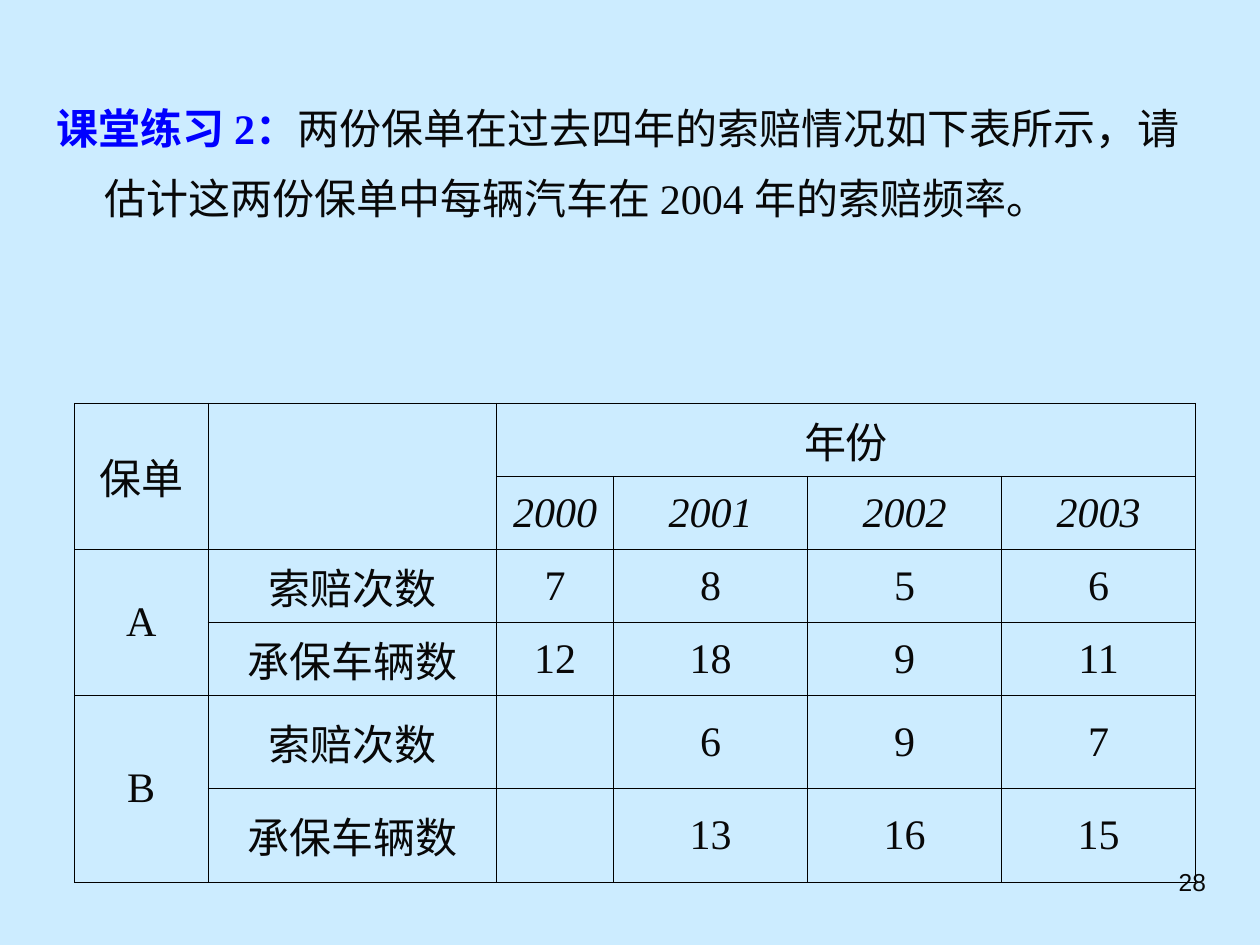
import dataclasses

import pptx
import pptx.dml.color
import pptx.enum.text
import pptx.oxml
import pptx.oxml.ns
import pptx.util

Inches = pptx.util.Inches
Pt = pptx.util.Pt
RGBColor = pptx.dml.color.RGBColor
Align = pptx.enum.text.PP_ALIGN
Anchor = pptx.enum.text.MSO_ANCHOR


@dataclasses.dataclass(frozen=True)
class Theme:
    background: str = "CCECFF"
    text: str = "080808"
    accent: str = "0000FF"
    border: str = "000000"
    border_width: float = 0.45
    serif: str = "Times New Roman"
    sans: str = "Arial"
    main_size: int = 24
    number_size: int = 14


THEME = Theme()

ROWS = [
    ["保单", "", "年份", "", "", ""],
    ["", "", "2000", "2001", "2002", "2003"],
    ["A", "索赔次数", "7", "8", "5", "6"],
    ["", "承保车辆数", "12", "18", "9", "11"],
    ["B", "索赔次数", "", "6", "9", "7"],
    ["", "承保车辆数", "", "13", "16", "15"],
]
YEAR_ROW = 1
COLUMN_WIDTHS = [1.06, 2.29, 0.93, 1.54, 1.54, 1.54]
ROW_HEIGHTS = [0.58] * 4 + [0.74] * 2
MERGES = [
    ((0, 0), (1, 0)),
    ((0, 1), (1, 1)),
    ((0, 2), (0, 5)),
    ((2, 0), (3, 0)),
    ((4, 0), (5, 0)),
]


def style_font(font, name, size, color=THEME.text):
    font.name = name
    font.size = Pt(size)
    font.color.rgb = RGBColor.from_string(color)


def add_exercise(page, lead, question):
    box = page.placeholders[1]
    box.left, box.top = Inches(0.35), Inches(0.6)
    box.width, box.height = Inches(9.13), Inches(1.26)
    frame = box.text_frame
    frame.auto_size = pptx.enum.text.MSO_AUTO_SIZE.NONE
    frame.vertical_anchor = Anchor.TOP
    para = frame.paragraphs[0]
    para.line_spacing = 1.4
    para.space_before = Pt(0)
    properties = para._p.get_or_add_pPr()
    properties.set("marL", str(Inches(0.38)))
    properties.set("indent", str(Inches(-0.38)))
    properties.append(pptx.oxml.parse_xml(
        f"<a:buNone {pptx.oxml.ns.nsdecls('a')}/>"))
    for text, color, bold in ((lead, THEME.accent, True),
                              (question, THEME.text, False)):
        span = para.add_run()
        span.text = text
        span.font.bold = bold
        style_font(span.font, THEME.serif, THEME.main_size, color)


def add_page_number(page, number):
    box = page.shapes.add_textbox(
        Inches(7.17), Inches(6.83), Inches(2.5), Inches(0.52))
    box.text_frame.word_wrap = True
    para = box.text_frame.paragraphs[0]
    para.text = number
    para.alignment = Align.RIGHT
    style_font(para.font, THEME.sans, THEME.number_size)


def add_borders(cell):
    properties = cell._tc.get_or_add_tcPr()
    for side in ("lnL", "lnR", "lnT", "lnB"):
        properties.append(pptx.oxml.parse_xml(
            f'<a:{side} {pptx.oxml.ns.nsdecls("a")} '
            f'w="{Pt(THEME.border_width)}"><a:solidFill>'
            f'<a:srgbClr val="{THEME.border}"/></a:solidFill></a:{side}>'))


def fill_cell(cell, text, italic):
    add_borders(cell)
    cell.fill.background()
    cell.vertical_anchor = Anchor.MIDDLE
    para = cell.text_frame.paragraphs[0]
    para.text = text
    para.alignment = Align.CENTER
    para.font.italic = italic
    style_font(para.font, THEME.serif, THEME.main_size)


def add_claims_table(page):
    table = page.shapes.add_table(
        len(ROWS), len(COLUMN_WIDTHS), Inches(0.59), Inches(3.2),
        Inches(sum(COLUMN_WIDTHS)), Inches(sum(ROW_HEIGHTS))).table
    table.first_row = False
    table.horz_banding = False
    for column, width in zip(table.columns, COLUMN_WIDTHS):
        column.width = Inches(width)
    for row, height in zip(table.rows, ROW_HEIGHTS):
        row.height = Inches(height)
    for row_index, texts in enumerate(ROWS):
        for column_index, text in enumerate(texts):
            fill_cell(table.cell(row_index, column_index), text,
                      row_index == YEAR_ROW)
    for first, last in MERGES:
        table.cell(*first).merge(table.cell(*last))


def main():
    deck = pptx.Presentation()
    deck.slide_width, deck.slide_height = Inches(10), Inches(7.5)
    page = deck.slides.add_slide(deck.slide_layouts[1])
    page.background.fill.solid()
    page.background.fill.fore_color.rgb = RGBColor.from_string(
        THEME.background)
    title = page.shapes.title._element
    title.getparent().remove(title)
    add_exercise(
        page, "课堂练习 2：",
        "两份保单在过去四年的索赔情况如下表所示，"
        "请估计这两份保单中每辆汽车在 2004 年的索赔频率。")
    add_page_number(page, "28")
    add_claims_table(page)
    deck.save("out.pptx")


if __name__ == "__main__":
    main()
